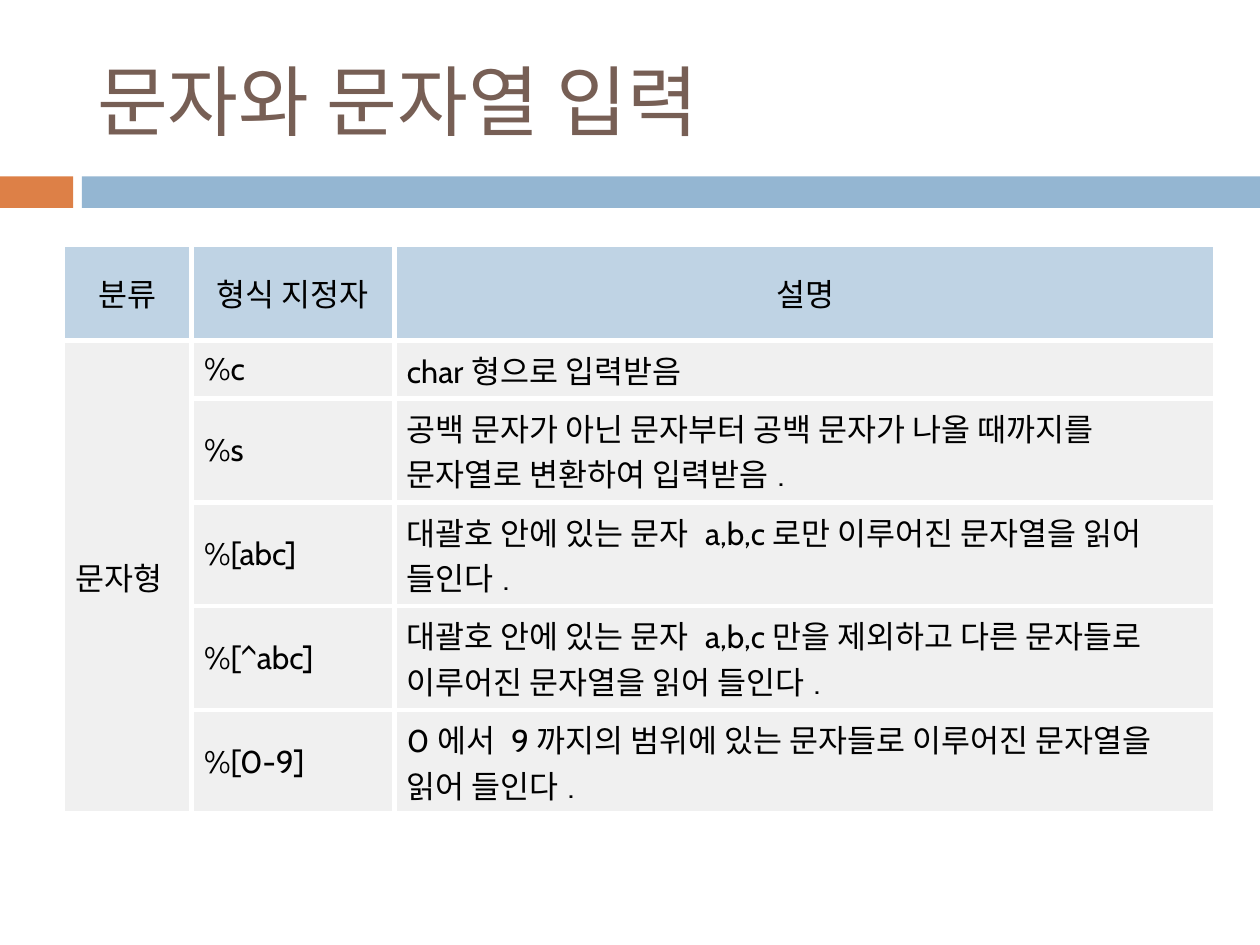
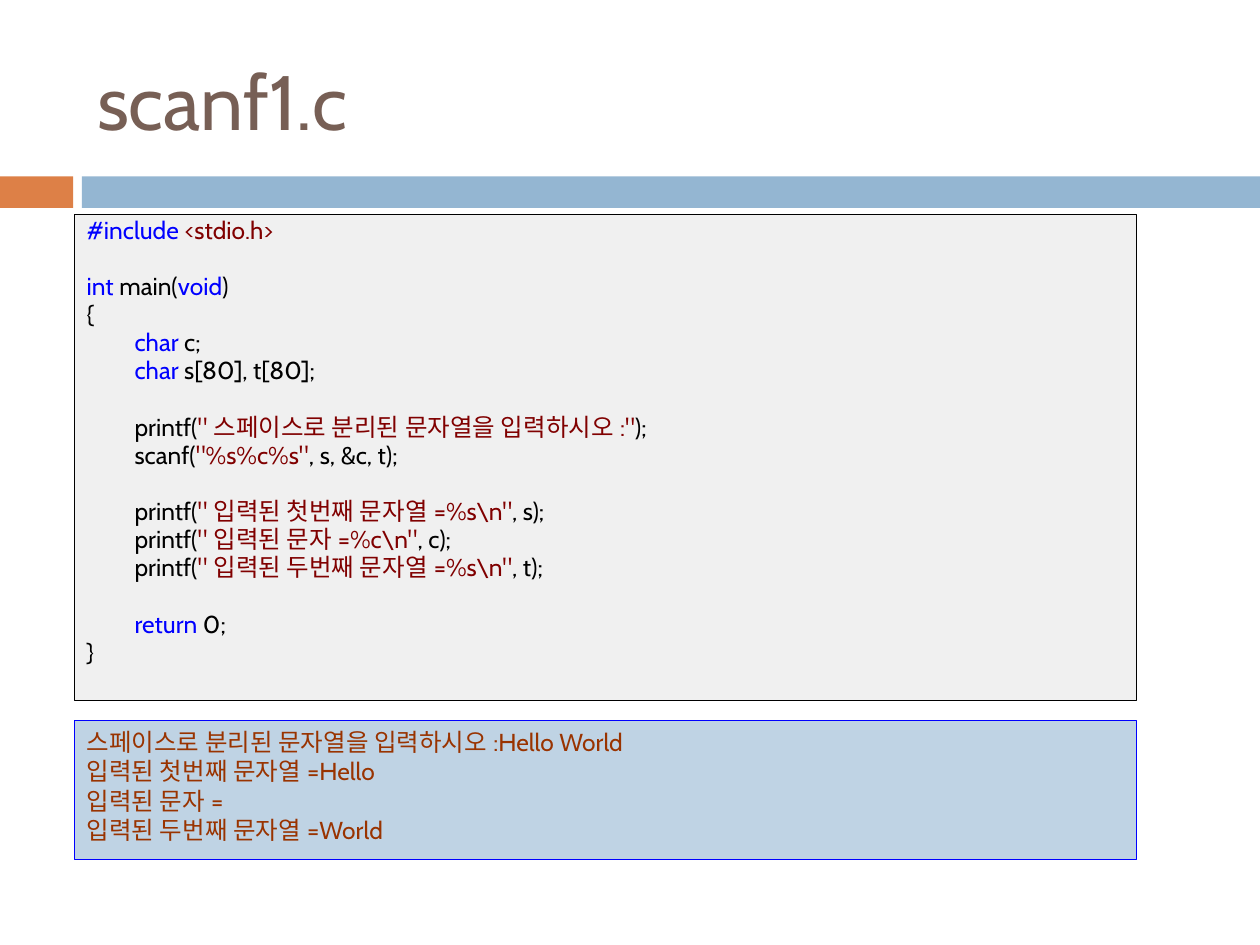
import pptx
import pptx.util
import pptx.dml.color
import pptx.enum.shapes
import pptx.enum.text
import pptx.oxml.ns
from lxml import etree

Inches, Pt = pptx.util.Inches, pptx.util.Pt
RGB = pptx.dml.color.RGBColor.from_string
ANCHOR, ALIGN = pptx.enum.text.MSO_ANCHOR, pptx.enum.text.PP_ALIGN
qn = pptx.oxml.ns.qn

THEME = {
    "font": "Cabin", "title_size": 44, "table_size": 18, "code_size": 14,
    "title": "775F55", "accent": "DD8047", "band": "94B6D2",
    "pale_blue": "BFD3E4", "pale_grey": "F0F0F0", "border": "FFFFFF",
    "text": "000000", "keyword": "0000FF", "string": "800000", "output": "993300",
}


def add_run(p, text, size, color):
    r = p.add_run()
    r.text = text
    r.font.name = THEME["font"]
    r.font.size = Pt(THEME[size])
    r.font.color.rgb = RGB(THEME[color])


def add_box(s, left, top, width, height, fill, line=None, line_width=0):
    sp = s.shapes.add_shape(pptx.enum.shapes.MSO_SHAPE.RECTANGLE,
                            Inches(left), Inches(top), Inches(width), Inches(height))
    sp.shadow.inherit = False
    sp.fill.solid()
    sp.fill.fore_color.rgb = RGB(THEME[fill])
    if line:
        sp.line.color.rgb = RGB(THEME[line])
        sp.line.width = Pt(line_width)
    else:
        sp.line.fill.background()
    sp.text_frame.word_wrap = True
    sp.text_frame.vertical_anchor = ANCHOR.TOP
    return sp


prs = pptx.Presentation()
prs.slide_width, prs.slide_height = Inches(10), Inches(7.5)
layout = prs.slide_layouts[5]

# Shared title position and slides
title = layout.placeholders[0]
title.left, title.top = Inches(0.67), Inches(0.25)
title.width, title.height = Inches(8.92), Inches(1.08)
slides = []
for heading in ["문자와 문자열 입력", "scanf1.c"]:
    s = prs.slides.add_slide(layout)
    tf = s.shapes.title.text_frame
    tf.auto_size = pptx.enum.text.MSO_AUTO_SIZE.NONE
    tf.vertical_anchor = ANCHOR.MIDDLE
    p = tf.paragraphs[0]
    p.alignment = ALIGN.LEFT
    add_run(p, heading, "title_size", "title")
    slides.append(s)

# Shared bands, moved to the layout
for number, (left, width, fill) in enumerate([(0, 0.58, "accent"), (0.65, 9.35, "band")]):
    band = add_box(slides[0], left, 1.4, width, 0.25, fill)
    band.name = f"Title band {number + 1}"
    band.element.nvSpPr.cNvPr.set("id", str(20 + number))
    layout.shapes.element.insert(2 + number, band.element)

# Slide 1: table of format specifiers
rows = [
    ("분류", "형식 지정자", "설명"),
    ("문자형", "%c", "char형으로 입력받음"),
    ("", "%s", "공백 문자가 아닌 문자부터 공백 문자가 나올 때까지를 문자열로 변환하여 입력받음."),
    ("", "%[abc]", "대괄호 안에 있는 문자 a,b,c로만 이루어진 문자열을 읽어 들인다."),
    ("", "%[^abc]", "대괄호 안에 있는 문자 a,b,c만을 제외하고 다른 문자들로 이루어진 문자열을 읽어 들인다."),
    ("", "%[0-9]", "0에서 9까지의 범위에 있는 문자들로 이루어진 문자열을 읽어 들인다."),
]
table = slides[0].shapes.add_table(len(rows), 3, Inches(0.5), Inches(1.94),
                                   Inches(9.15), Inches(4.24)).table
for column, width in zip(table.columns, [1.02, 1.61, 6.52]):
    column.width = Inches(width)
for i, texts in enumerate(rows):
    table.rows[i].height = Inches(0.44 if i == 1 else 0.76)
    for j, text in enumerate(texts):
        cell = table.cell(i, j)
        cell.vertical_anchor = ANCHOR.MIDDLE
        tcPr = cell._tc.get_or_add_tcPr()
        for side in ["a:lnL", "a:lnR", "a:lnT", "a:lnB"]:
            ln = etree.SubElement(tcPr, qn(side), w=str(Pt(3)))
            solid = etree.SubElement(ln, qn("a:solidFill"))
            etree.SubElement(solid, qn("a:srgbClr"), val=THEME["border"])
        cell.fill.solid()
        cell.fill.fore_color.rgb = RGB(THEME["pale_grey" if i else "pale_blue"])
        if text:
            p = cell.text_frame.paragraphs[0]
            p.alignment = ALIGN.CENTER if i == 0 else ALIGN.JUSTIFY if j == 0 else ALIGN.LEFT
            add_run(p, text, "table_size", "text")
table.cell(1, 0).merge(table.cell(5, 0))

# Slide 2: program listing, in blocks set apart by spacing
K, T, S = "keyword", "text", "string"
blocks = [
    [[("#include ", K), ("<stdio.h>", S)]],
    [[("int", K), (" main(", T), ("void", K), (")", T)],
     [("{", T)],
     [("\t", T), ("char", K), (" c;", T)],
     [("\t", T), ("char", K), (" s[80], t[80];", T)]],
    [[("\tprintf(", T), ('"스페이스로 분리된 문자열을 입력하시오:"', S), (");", T)],
     [("\tscanf(", T), ('"%s%c%s"', S), (", s, &c, t);", T)]],
    [[("\tprintf(", T), ('"입력된 첫번째 문자열=%s\\n"', S), (", s);", T)],
     [("\tprintf(", T), ('"입력된 문자=%c\\n"', S), (", c);", T)],
     [("\tprintf(", T), ('"입력된 두번째 문자열=%s\\n"', S), (", t);", T)]],
    [[("\t", T), ("return", K), (" 0;", T)],
     [("}", T)]],
]
tf = add_box(slides[1], 0.59, 1.7, 8.43, 3.86, "pale_grey", "text", 0.25).text_frame
for b, block in enumerate(blocks):
    for n, line in enumerate(block):
        p = tf.add_paragraph() if b or n else tf.paragraphs[0]
        p.alignment = ALIGN.LEFT
        p.line_spacing = 0.8
        p.space_before = Pt(18.8 if b and n == 0 else 2.6)
        pPr = p._p.get_or_add_pPr()
        pPr.set("marL", str(Inches(0.38)))
        pPr.set("indent", str(Inches(-0.38)))
        for text, color in line:
            add_run(p, text, "code_size", color)

# Slide 2: program output
tf = add_box(slides[1], 0.59, 5.72, 8.43, 1.1, "pale_blue", "keyword", 0.33).text_frame
outputs = ["스페이스로 분리된 문자열을 입력하시오:Hello World", "입력된 첫번째 문자열=Hello",
           "입력된 문자=", "입력된 두번째 문자열=World"]
for n, text in enumerate(outputs):
    p = tf.add_paragraph() if n else tf.paragraphs[0]
    p.alignment = ALIGN.JUSTIFY
    add_run(p, text, "code_size", "output")

prs.save("out.pptx")
